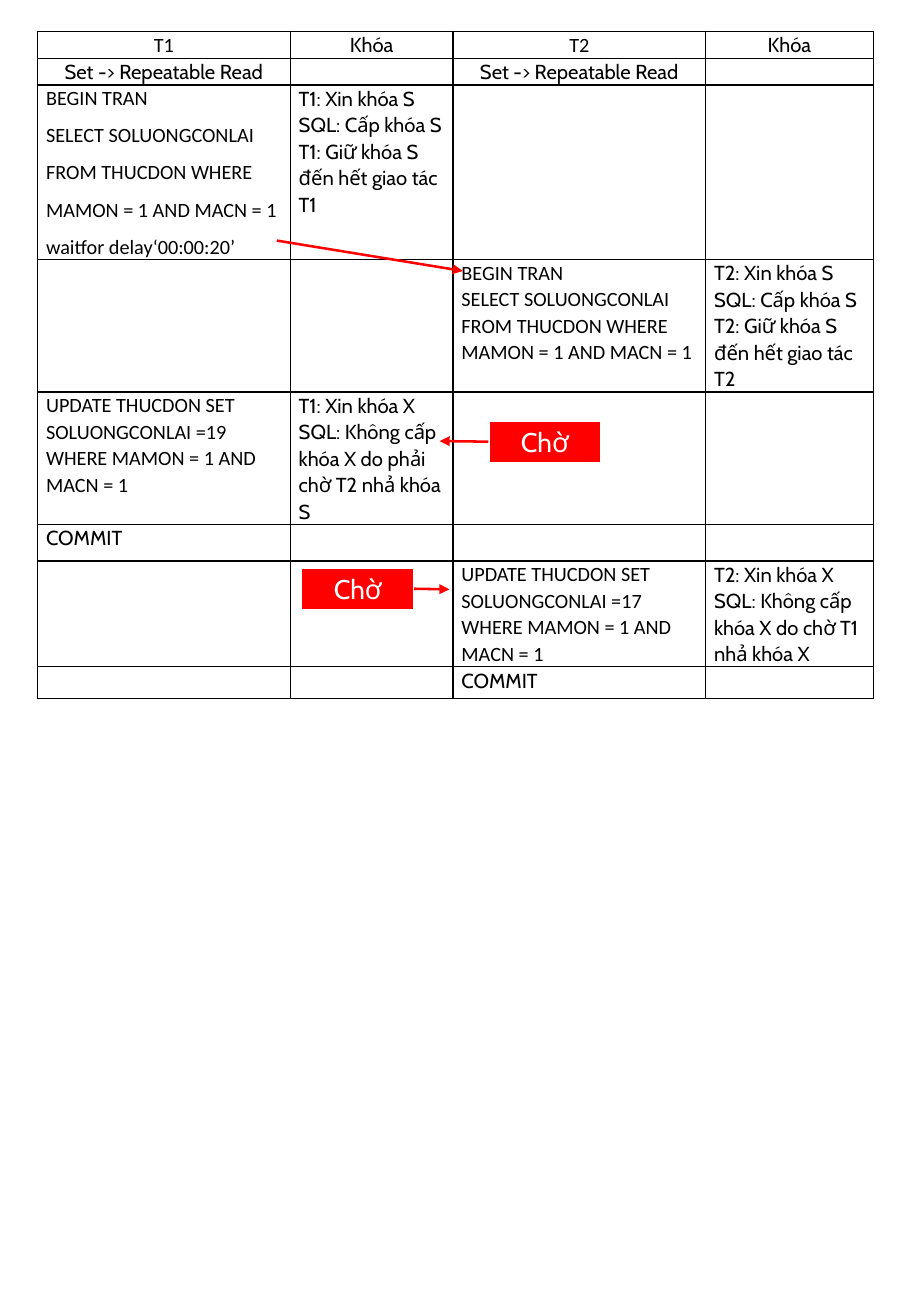
"""Build the lock timeline of two Repeatable Read transactions."""
from lxml.etree import SubElement
from pptx import Presentation
from pptx.dml.color import RGBColor
from pptx.enum.shapes import MSO_CONNECTOR, MSO_SHAPE
from pptx.enum.text import MSO_ANCHOR, PP_ALIGN
from pptx.oxml.ns import qn
from pptx.util import Inches, Pt

COLORS = {"ink": "000000", "wait": "FF0000", "paper": "FFFFFF"}
COLUMN_WIDTHS = [2.08, 1.34, 2.08, 1.38]
ROW_HEIGHTS = [0.22, 0.22, 1.43, 1.09, 1.09, 0.3, 0.87, 0.26]
LEVEL = "Set -> Repeatable Read"
SELECT = "SELECT SOLUONGCONLAI FROM THUCDON WHERE MAMON = 1 AND MACN = 1"
UPDATE = "UPDATE THUCDON SET SOLUONGCONLAI ={} WHERE MAMON = 1 AND MACN = 1"
GRANT = "{0}: Xin khóa S\nSQL: Cấp khóa S\n{0}: Giữ khóa S đến hết giao tác {0}"
REFUSE = "{}: Xin khóa X\nSQL: Không cấp khóa X do {}"
SCHEDULE = [
    ["T1", "Khóa", "T2", "Khóa"],
    [LEVEL, "", LEVEL, ""],
    [f"BEGIN TRAN\n{SELECT}\nwaitfor delay‘00:00:20’", GRANT.format("T1"), "", ""],
    ["", "", f"BEGIN TRAN\n{SELECT}", GRANT.format("T2")],
    [UPDATE.format(19), REFUSE.format("T1", "phải chờ T2 nhả khóa S"), "", ""],
    ["COMMIT", "", "", ""],
    ["", "", UPDATE.format(17), REFUSE.format("T2", "chờ T1 nhả khóa X")],
    ["", "", "COMMIT", ""],
]


def color(name):
    return RGBColor.from_string(COLORS[name])


def write_text(frame, text, font="Cabin", size=12, ink="ink",
               align=PP_ALIGN.LEFT, spacing=1.07, later_spacing=None):
    for index, line in enumerate(text.split("\n")):
        paragraph = frame.paragraphs[0] if index == 0 else frame.add_paragraph()
        paragraph.alignment = align
        paragraph.line_spacing = later_spacing if index and later_spacing else spacing
        if not line:
            SubElement(paragraph._p, qn("a:endParaRPr"), sz=str(size * 100))
            continue
        run = paragraph.add_run()
        run.text = line
        run.font.name = font
        run.font.size = Pt(size)
        run.font.color.rgb = color(ink)


def add_borders(cell):
    properties = cell._tc.get_or_add_tcPr()
    for side in ("a:lnL", "a:lnR", "a:lnT", "a:lnB"):
        border = SubElement(properties, qn(side), w=str(Pt(1)))
        fill = SubElement(border, qn("a:solidFill"))
        SubElement(fill, qn("a:srgbClr"), val=COLORS["ink"])


def cell_font(row, column, text):
    is_statement = column % 2 == 0 and text not in (LEVEL, "COMMIT")
    return "Calibri" if is_statement else "Cabin"


def add_schedule(slide):
    schedule = slide.shapes.add_table(
        len(ROW_HEIGHTS), len(COLUMN_WIDTHS), Inches(0.31), Inches(0.26),
        Inches(sum(COLUMN_WIDTHS)), Inches(sum(ROW_HEIGHTS))).table
    schedule.first_row = schedule.horz_banding = False
    for column, width in zip(schedule.columns, COLUMN_WIDTHS):
        column.width = Inches(width)
    for row, height in zip(schedule.rows, ROW_HEIGHTS):
        row.height = Inches(height)
    for row, texts in enumerate(SCHEDULE):
        for column, text in enumerate(texts):
            cell = schedule.cell(row, column)
            cell.margin_left = cell.margin_right = Inches(0.07)
            cell.margin_top = cell.margin_bottom = 0
            add_borders(cell)
            cell.fill.background()
            write_text(cell.text_frame, text, font=cell_font(row, column, text),
                       align=PP_ALIGN.CENTER if row < 2 else PP_ALIGN.LEFT,
                       later_spacing=1.5 if (row, column) == (2, 0) else None)


def add_wait_box(slide, left, top):
    box = slide.shapes.add_shape(MSO_SHAPE.RECTANGLE, Inches(left), Inches(top),
                                 Inches(0.93), Inches(0.35))
    box.shadow.inherit = False
    box.fill.solid()
    box.fill.fore_color.rgb = color("wait")
    box.line.color.rgb = color("paper")
    box.line.width = Pt(1.5)
    box.text_frame.vertical_anchor = MSO_ANCHOR.MIDDLE
    write_text(box.text_frame, "Chờ", size=16, ink="paper",
               align=PP_ALIGN.CENTER, spacing=1.0)
    return box


def add_arrow(slide, start, end, box=None, side=None):
    arrow = slide.shapes.add_connector(
        MSO_CONNECTOR.STRAIGHT, *(Inches(length) for length in (*start, *end)))
    if box is not None:
        arrow.begin_connect(box, side)
    arrow.line.color.rgb = color("wait")
    arrow.line.width = Pt(1.5)
    SubElement(arrow.line._get_or_add_ln(), qn("a:tailEnd"), type="triangle")
    SubElement(arrow._element.spPr, qn("a:effectLst"))


def main():
    deck = Presentation()
    deck.slide_width, deck.slide_height = Inches(7.5), Inches(10.83)
    slide = deck.slides.add_slide(deck.slide_layouts[6])
    add_schedule(slide)
    add_arrow(slide, (2.28, 1.98), (3.81, 2.23))
    t1_wait = add_wait_box(slide, 4.02, 3.46)
    add_arrow(slide, (4.02, 3.63), (3.62, 3.63), t1_wait, 1)
    t2_wait = add_wait_box(slide, 2.48, 4.67)
    add_arrow(slide, (3.41, 4.85), (3.7, 4.85), t2_wait, 3)
    deck.save("out.pptx")


if __name__ == "__main__":
    main()
